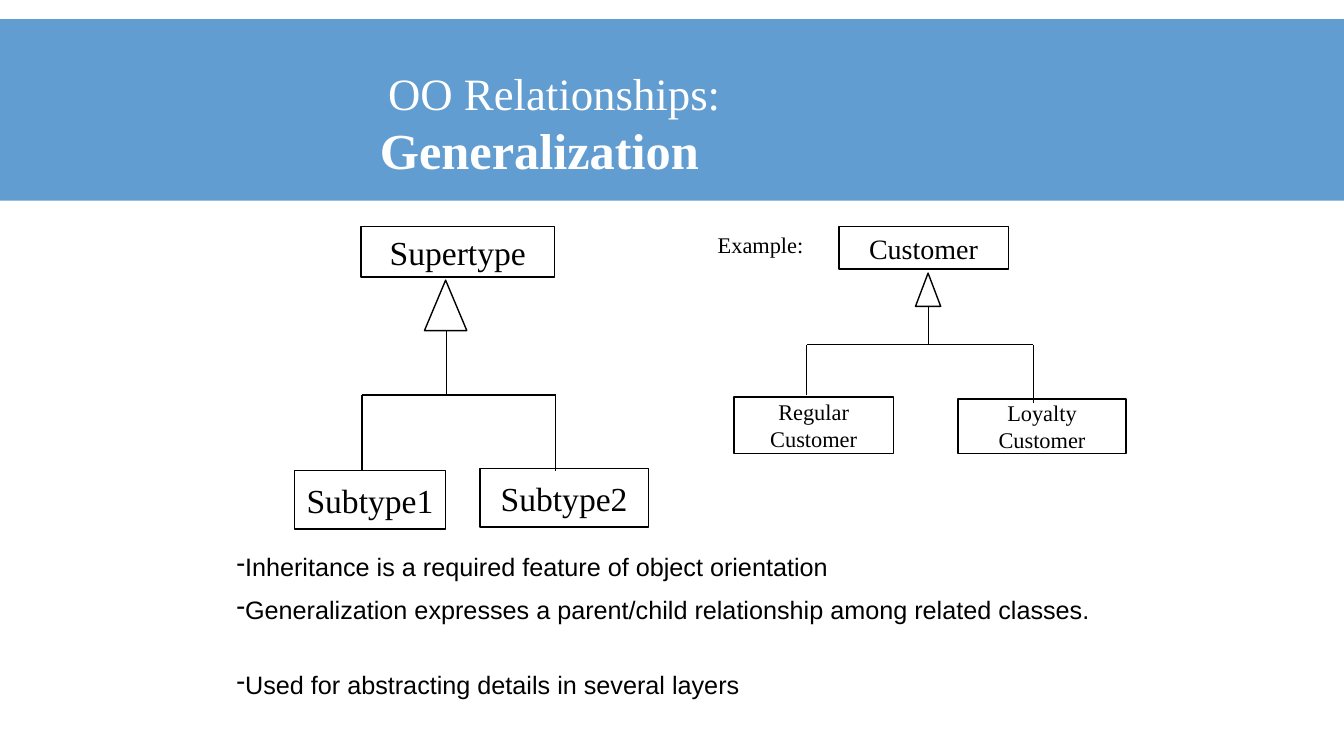
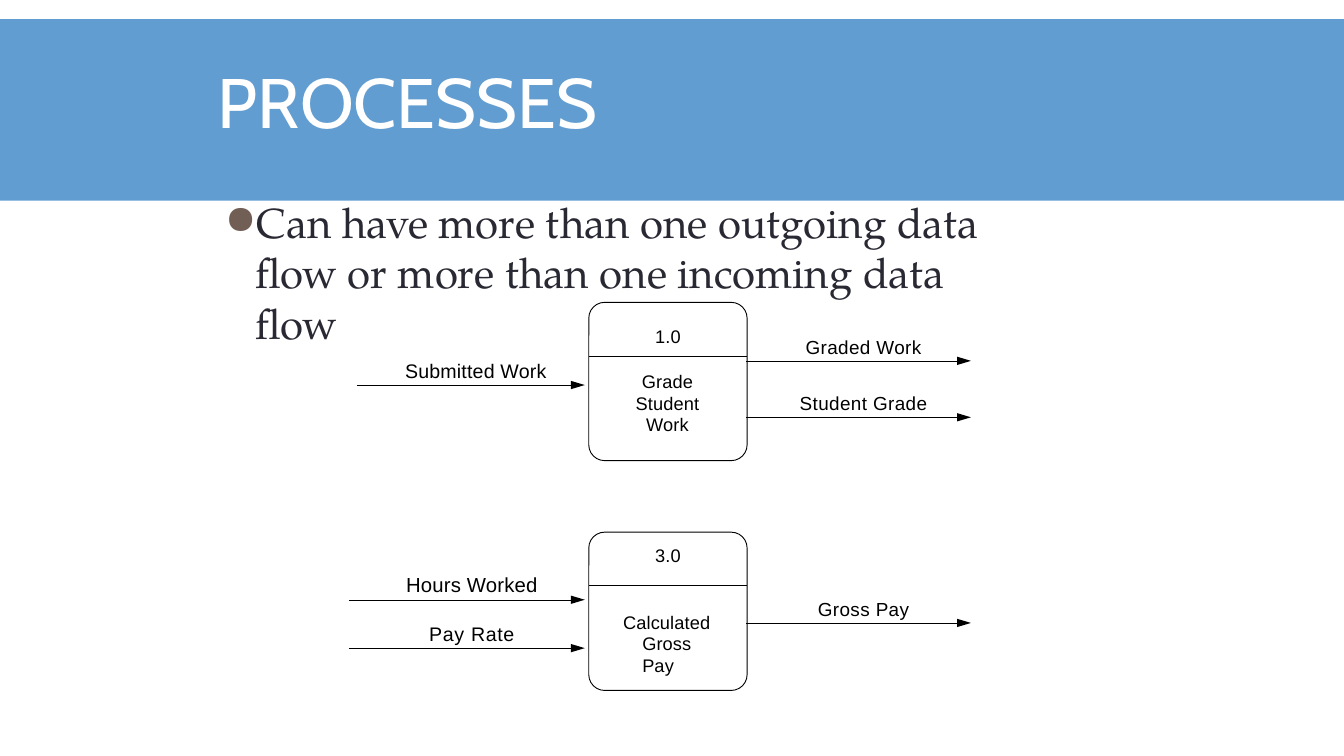
import pptx
import pptx.dml.color
import pptx.enum.shapes
import pptx.enum.text
import pptx.oxml.ns
import pptx.util
from lxml import etree

Inches = pptx.util.Inches
Pt = pptx.util.Pt
RGBColor = pptx.dml.color.RGBColor
Shape = pptx.enum.shapes.MSO_SHAPE
Align = pptx.enum.text.PP_ALIGN
Anchor = pptx.enum.text.MSO_ANCHOR
qn = pptx.oxml.ns.qn

BAND_BLUE = RGBColor(0x62, 0x9D, 0xD1)
WHITE = RGBColor(0xFF, 0xFF, 0xFF)
BLACK = RGBColor(0, 0, 0)
INK = RGBColor(0x29, 0x29, 0x34)
BULLET_BROWN = RGBColor(0x71, 0x5F, 0x55)

SERIF = "Times New Roman"
SANS = "Arial"
TITLE_FONT = "Cabin"
BODY_FONT = "TeX Gyre Pagella"


class Deck:
    """Holds the shared style and the slide being drawn."""

    def __init__(self):
        self.prs = pptx.Presentation()
        self.prs.slide_width = Inches(13.33)
        self.prs.slide_height = Inches(7.5)
        self.slide = None

    def new_slide(self):
        self.slide = self.prs.slides.add_slide(self.prs.slide_layouts[6])
        self.shape(Shape.RECTANGLE, 0, 0.19, 13.33, 1.8, fill=BAND_BLUE, weight=0)

    def shape(self, kind, x, y, width, height, fill=None, weight=1):
        shape = self.slide.shapes.add_shape(
            kind, Inches(x), Inches(y), Inches(width), Inches(height))
        shape.shadow.inherit = False
        if fill is None:
            shape.fill.background()
        else:
            shape.fill.solid()
            shape.fill.fore_color.rgb = fill
        if weight:
            shape.line.color.rgb = BLACK
            shape.line.width = Pt(weight)
        else:
            shape.line.fill.background()
        return shape

    def line(self, x1, y1, x2, y2, weight=1, arrow=False):
        line = self.slide.shapes.add_connector(
            pptx.enum.shapes.MSO_CONNECTOR.STRAIGHT,
            Inches(x1), Inches(y1), Inches(x2), Inches(y2))
        line.line.color.rgb = BLACK
        line.line.width = Pt(weight)
        properties = line._element.spPr
        if arrow:
            etree.SubElement(properties.find(qn("a:ln")), qn("a:tailEnd"),
                             type="triangle", w="med", len="lg")
        etree.SubElement(properties, qn("a:effectLst"))

    def text_box(self, x, y, width, height, inset=0.0, anchor=Anchor.TOP):
        box = self.slide.shapes.add_textbox(
            Inches(x), Inches(y), Inches(width), Inches(height))
        frame = box.text_frame
        frame.word_wrap = True
        frame.vertical_anchor = anchor
        frame.margin_left = frame.margin_right = Inches(2 * inset)
        frame.margin_top = frame.margin_bottom = Inches(inset)
        return frame

    def paragraph(self, frame, text, size, font=SANS, color=BLACK, bold=False,
                  align=Align.LEFT, before=0, tracking=0, margin=0, hang=0,
                  bullet=None, bullet_color=None, bullet_size=100):
        """Write one paragraph, filling the frame's empty first one if there is one."""
        first = frame.paragraphs[0]
        paragraph = frame.add_paragraph() if first.runs else first
        paragraph.alignment = align
        if before:
            paragraph.space_before = Pt(before)
        properties = paragraph._p.get_or_add_pPr()
        if margin:
            properties.set("marL", str(Inches(margin)))
            properties.set("indent", str(-Inches(hang)))
        if bullet:
            if bullet_color is not None:
                tint = etree.SubElement(properties, qn("a:buClr"))
                etree.SubElement(tint, qn("a:srgbClr"), val=str(bullet_color))
            etree.SubElement(properties, qn("a:buSzPct"), val=str(bullet_size * 1000))
            etree.SubElement(properties, qn("a:buChar"), char=bullet)
        run = paragraph.add_run()
        run.text = text
        run.font.name = font
        run.font.size = Pt(size)
        run.font.bold = bold
        run.font.color.rgb = color
        if tracking:
            run._r.get_or_add_rPr().set("spc", str(round(tracking * 100)))

    def class_box(self, x, y, width, height, lines, size):
        frame = self.shape(Shape.RECTANGLE, x, y, width, height).text_frame
        frame.word_wrap = True
        frame.vertical_anchor = Anchor.MIDDLE
        frame.margin_top = frame.margin_bottom = 0
        for text in lines:
            self.paragraph(frame, text, size, SERIF, align=Align.CENTER)

    def inheritance(self, triangle, stem_x, bar_y, drops, drop_weight):
        """Draw the open triangle, its stem, the bar and a drop to each subtype."""
        x, y, width, height = triangle
        self.shape(Shape.ISOSCELES_TRIANGLE, x, y, width, height)
        self.line(stem_x, y + height, stem_x, bar_y)
        self.line(drops[0][0], bar_y, drops[-1][0], bar_y)
        for drop_x, bottom in drops:
            self.line(drop_x, bar_y, drop_x, bottom, drop_weight)

    def process(self, top, number, number_gap, task, task_box, **task_style):
        left, size, divider = 5.84, 1.57, top + 0.53
        box = self.shape(Shape.ROUNDED_RECTANGLE, left, top, size, size, WHITE, 0.64)
        box.adjustments[0] = 0.1
        self.line(left, divider, left + size, divider, 0.32)
        frame = self.text_box(left, top + number_gap, size, 0.24)
        self.paragraph(frame, number, 13, align=Align.CENTER, tracking=0.1)
        frame = self.text_box(*task_box)
        self.paragraph(frame, task, 13, tracking=0.1, **task_style)

    def data_flow(self, x1, x2, y, label, size, tracking):
        """Draw an arrow with its label resting just above it."""
        self.line(x1, y, x2, y, 0.34, arrow=True)
        frame = self.text_box(x1 + 0.05, y - 0.28, x2 - x1, 0.25, anchor=Anchor.BOTTOM)
        self.paragraph(frame, label, size, align=Align.CENTER, tracking=tracking)


def generalization_slide(deck):
    deck.new_slide()
    title = deck.text_box(3.67, 0.6, 6.81, 1.25, inset=0.05)
    deck.paragraph(title, "OO Relationships:", 32, SERIF, WHITE, margin=0.08)
    deck.paragraph(title, "Generalization", 36, SERIF, WHITE, bold=True)

    deck.class_box(3.58, 2.25, 1.92, 0.5, ["Supertype"], 24)
    deck.class_box(2.92, 4.67, 1.5, 0.58, ["Subtype1"], 24)
    deck.class_box(4.76, 4.65, 1.67, 0.58, ["Subtype2"], 24)
    deck.inheritance((4.21, 2.78, 0.42, 0.5), 4.43, 3.92,
                     [(3.59, 4.67), (5.51, 4.67)], 1)

    example = deck.text_box(7.02, 2.24, 1.25, 0.37, inset=0.05)
    deck.paragraph(example, "Example:", 16, SERIF)
    deck.class_box(8.32, 2.25, 1.68, 0.42, ["Customer"], 20)
    deck.class_box(7.28, 3.94, 1.58, 0.56, ["Regular", "Customer"], 16)
    deck.class_box(9.5, 3.96, 1.67, 0.54, ["Loyalty", "Customer"], 16)
    deck.inheritance((9.08, 2.71, 0.25, 0.33), 9.21, 3.42,
                     [(8, 3.92), (10.25, 4)], 0.75)

    remarks = deck.text_box(2.25, 5.42, 8.67, 1.3, inset=0.05)
    for text, before in (
        ("Inheritance is a required feature of object orientation", 0),
        ("Generalization expresses a parent/child relationship among related classes.", 9),
        ("Used for abstracting details in several layers", 32),
    ):
        deck.paragraph(remarks, text, 18, before=before,
                       margin=0.08, hang=0.08, bullet="-")


def processes_slide(deck):
    deck.new_slide()
    title = deck.text_box(2.16, 0.57, 4.6, 0.86, anchor=Anchor.MIDDLE)
    deck.paragraph(title, "PROCESSES", 50, TITLE_FONT, WHITE)
    rule = deck.text_box(2.22, 1.95, 8, 1.03)
    deck.paragraph(
        rule,
        "Can have more than one outgoing data flow or more than one incoming data flow",
        30, BODY_FONT, INK, margin=0.31, hang=0.3,
        bullet="●", bullet_color=BULLET_BROWN, bullet_size=95)

    deck.process(3, "1.0", 0.23, "Grade Student Work",
                 (6.27, 3.67, 0.7, 0.69), align=Align.CENTER)
    deck.process(5.28, "3.0", 0.12, "Calculated Gross Pay",
                 (6.17, 6.06, 0.92, 0.69), margin=0.2, hang=0.19)

    for x1, x2, y, label, size, tracking in (
        (3.54, 5.8, 3.82, "Submitted Work", 14, 0.1),
        (7.4, 9.63, 3.58, "Graded Work", 13.5, 0.3),
        (7.4, 9.63, 4.14, "Student Grade", 13.5, 0.3),
        (3.46, 5.8, 5.95, "Hours Worked", 14.5, 0.1),
        (3.46, 5.8, 6.43, "Pay Rate", 14, 0.45),
        (7.4, 9.63, 6.18, "Gross Pay", 13.5, 0.3),
    ):
        deck.data_flow(x1, x2, y, label, size, tracking)


def main():
    deck = Deck()
    generalization_slide(deck)
    processes_slide(deck)
    deck.prs.save("out.pptx")


if __name__ == "__main__":
    main()
